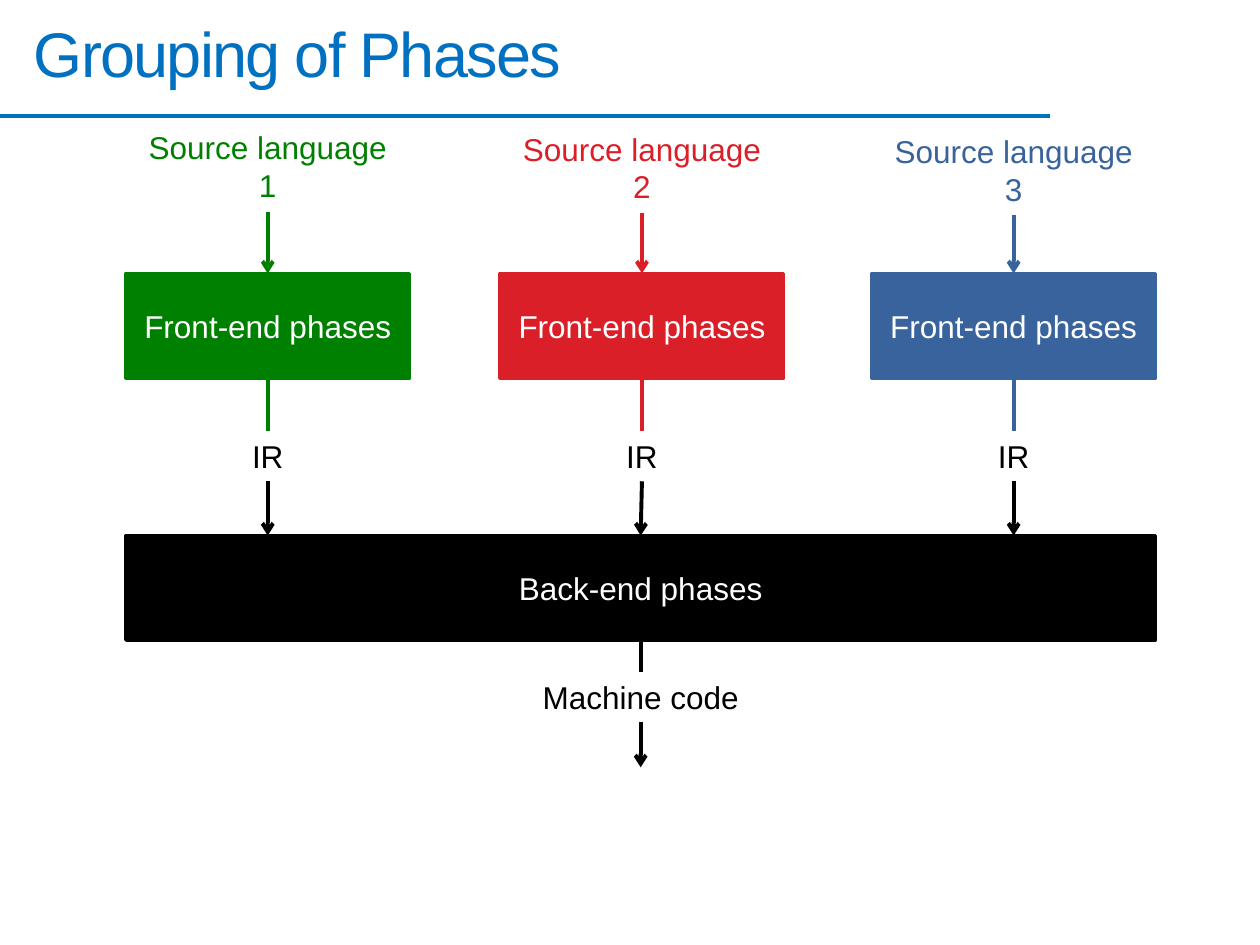
from lxml import etree
from pptx import Presentation
from pptx.dml.color import RGBColor
from pptx.enum.shapes import MSO_CONNECTOR, MSO_SHAPE
from pptx.enum.text import MSO_ANCHOR, MSO_AUTO_SIZE, PP_ALIGN
from pptx.oxml.ns import qn
from pptx.util import Inches, Pt

STRAIGHT = MSO_CONNECTOR.STRAIGHT
RECTANGLE = MSO_SHAPE.RECTANGLE
MIDDLE, TOP_ANCHOR = MSO_ANCHOR.MIDDLE, MSO_ANCHOR.TOP
LEFT, CENTER = PP_ALIGN.LEFT, PP_ALIGN.CENTER
GROW = MSO_AUTO_SIZE.SHAPE_TO_FIT_TEXT
TOP, BOTTOM = 0, 2

BLUE, BLACK, WHITE = "0070C0", "000000", "FFFFFF"
PHASE_WIDTH, PHASE_HEIGHT = 2.25, 0.83
SOURCE_WIDTH, SOURCE_HEIGHT = 2.11, 0.71
IR_WIDTH, LABEL_HEIGHT = 0.45, 0.4
CODE_WIDTH = 1.77
GAP = 0.42

# left edge of the column, top of its source label, colour
COLUMNS = [(1, 0.97, "008000"), (3.97, 0.98, "DA1F28"), (6.92, 1, "39639D")]
FRONT_TOP = 2.17
BACK_LEFT, BACK_TOP, BACK_WIDTH = 1, 4.25, 8.17


def rgb(value):
    return RGBColor.from_string(value)


def write(shape, lines, color, size=18, align=CENTER):
    frame = shape.text_frame
    for number, line in enumerate(lines):
        para = frame.paragraphs[0] if number == 0 else frame.add_paragraph()
        para.alignment = align
        span = para.add_run()
        span.text = line
        for name, value in {"name": "Arial", "size": Pt(size)}.items():
            setattr(span.font, name, value)
        span.font.color.rgb = rgb(color)


def add_label(page, left, top, width, height, lines, color):
    label = page.shapes.add_textbox(Inches(left), Inches(top), Inches(width), Inches(height))
    settings = {"word_wrap": False, "auto_size": GROW, "vertical_anchor": TOP_ANCHOR}
    for name, value in settings.items():
        setattr(label.text_frame, name, value)
    write(label, lines, color)
    return label


def add_phase(page, left, top, width, text, color):
    box = page.shapes.add_shape(RECTANGLE, Inches(left), Inches(top), Inches(width), Inches(PHASE_HEIGHT))
    box.shadow.inherit = False
    box.fill.solid()
    box.fill.fore_color.rgb = rgb(color)
    box.line.color.rgb = rgb(color)
    box.line.width = Pt(2.08)
    box.text_frame.word_wrap = True
    box.text_frame.vertical_anchor = MIDDLE
    write(box, [text], WHITE)
    return box


def add_line(page, start, end, color, arrow=False):
    """Draw a line between two (x, y) points in inches."""
    line = page.shapes.add_connector(STRAIGHT, *(Inches(value) for value in start + end))
    line.line.color.rgb = rgb(color)
    line.line.width = Pt(2.25)
    if arrow:
        etree.SubElement(line.line._get_or_add_ln(), qn("a:tailEnd"), type="arrow")
    etree.SubElement(line._element.spPr, qn("a:effectLst"))
    return line


def join(page, upper, lower, color, arrow=False):
    """Link the bottom of one box to the top of the box below it."""
    line = add_line(page, (0, 0), (0, 0), color, arrow)
    line.begin_connect(upper, BOTTOM)
    line.end_connect(lower, TOP)


def add_heading(page, left, top, width, height):
    add_line(page, (0, 0.92), (8.33, 0.92), BLUE)
    title = page.shapes.add_textbox(Inches(left), Inches(top), Inches(width), Inches(height))
    title.text_frame.word_wrap = True
    title.text_frame.vertical_anchor = MIDDLE
    write(title, ["Grouping of Phases"], BLUE, 36, LEFT)
    title.text_frame.paragraphs[0].runs[0].font._element.set("spc", "-100")


def add_back_end(page, left, top, width):
    box = add_phase(page, left, top, width, "Back-end phases", BLACK)
    middle = left + width / 2
    label_top = top + PHASE_HEIGHT + 0.25
    label_bottom = label_top + LABEL_HEIGHT
    code = add_label(page, middle - CODE_WIDTH / 2, label_top, CODE_WIDTH, LABEL_HEIGHT,
                     ["Machine code"], BLACK)
    join(page, box, code, BLACK)
    output = add_line(page, (middle, label_bottom), (middle, label_bottom + 0.36), BLACK, True)
    output.begin_connect(code, BOTTOM)
    return box


def add_front_end(page, left, source_top, number, color):
    """Draw one column from its source language to its IR label, and return that label."""
    middle = left + PHASE_WIDTH / 2
    source = add_label(page, middle - SOURCE_WIDTH / 2, source_top, SOURCE_WIDTH, SOURCE_HEIGHT,
                       ["Source language", str(number)], color)
    box = add_phase(page, left, FRONT_TOP, PHASE_WIDTH, "Front-end phases", color)
    code = add_label(page, middle - IR_WIDTH / 2, FRONT_TOP + PHASE_HEIGHT + GAP,
                     IR_WIDTH, LABEL_HEIGHT, ["IR"], BLACK)
    join(page, source, box, color, True)
    join(page, box, code, color)
    return code


def main():
    deck = Presentation()
    deck.slide_width, deck.slide_height = Inches(10), Inches(7.5)
    page = deck.slides.add_slide(deck.slide_layouts[6])
    add_heading(page, 0.17, 0.08, 9.08, 0.67)
    back_end = add_back_end(page, BACK_LEFT, BACK_TOP, BACK_WIDTH)
    for number, (left, source_top, color) in enumerate(COLUMNS, 1):
        code = add_front_end(page, left, source_top, number, color)
        if number == 2:
            join(page, code, back_end, BLACK, True)
        else:
            middle = left + PHASE_WIDTH / 2
            arrow = add_line(page, (middle, BACK_TOP - GAP), (middle, BACK_TOP), BLACK, True)
            arrow.begin_connect(code, BOTTOM)
    deck.save("out.pptx")


if __name__ == "__main__":
    main()
